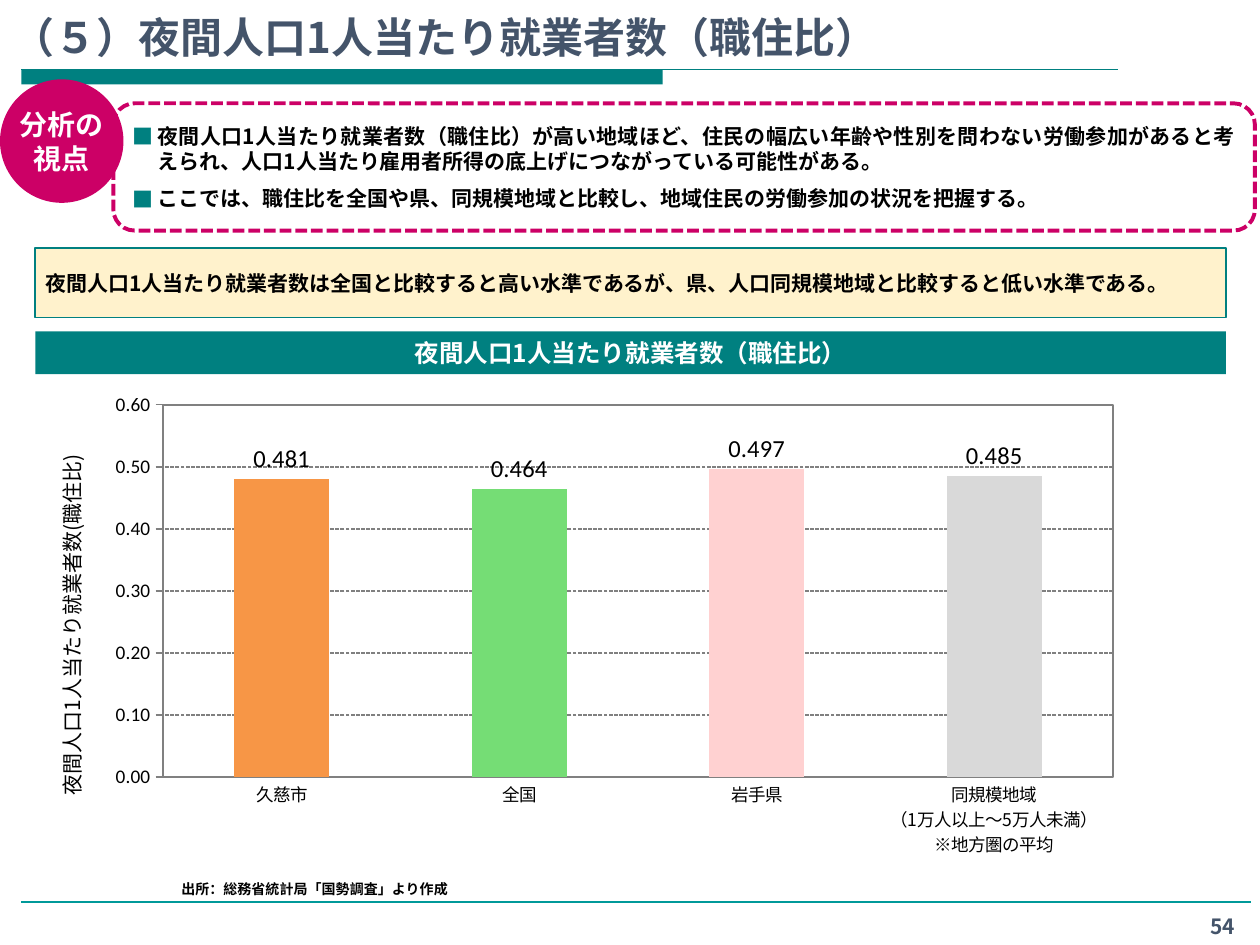
from lxml import etree
from pptx import Presentation
from pptx.chart.data import CategoryChartData
from pptx.dml.color import RGBColor
from pptx.enum.chart import XL_CHART_TYPE, XL_LABEL_POSITION, XL_TICK_MARK
from pptx.enum.dml import MSO_LINE
from pptx.enum.shapes import MSO_CONNECTOR, MSO_SHAPE
from pptx.enum.text import MSO_ANCHOR, MSO_AUTO_SIZE, PP_ALIGN
from pptx.oxml import parse_xml
from pptx.oxml.ns import nsdecls, qn
from pptx.util import Pt

PX = 9144  # 100 px to the inch
RECT, ROUND, OVAL = MSO_SHAPE.RECTANGLE, MSO_SHAPE.ROUNDED_RECTANGLE, MSO_SHAPE.OVAL
LEFT, MID, JUST = PP_ALIGN.LEFT, PP_ALIGN.CENTER, PP_ALIGN.JUSTIFY
TOP, CENTER, BOTTOM = MSO_ANCHOR.TOP, MSO_ANCHOR.MIDDLE, MSO_ANCHOR.BOTTOM
DASH = MSO_LINE.SQUARE_DOT
SANS, LATIN = "Noto Sans CJK JP", "Calibri"
TEAL, PINK, NAVY, GRAY = "008080", "CC0066", "44546A", "808080"
BLACK, WHITE = "000000", "FFFFFF"

HEAD = "夜間人口1人当たり就業者数（職住比）"
POINTS = [
    "夜間人口1人当たり就業者数（職住比）が高い地域ほど、住民の幅広い年齢や性別を問わない労働参加があると"
    "考えられ、人口1人当たり雇用者所得の底上げにつながっている可能性がある。",
    "ここでは、職住比を全国や県、同規模地域と比較し、地域住民の労働参加の状況を把握する。",
]
FINDING = "夜間人口1人当たり就業者数は全国と比較すると高い水準であるが、県、人口同規模地域と比較すると低い水準である。"
BARS = [
    ("久慈市", 0.481, "F79646"),
    ("全国", 0.464, "75DD75"),
    ("岩手県", 0.497, "FFD1D1"),
    ("同規模地域\n（1万人以上～5万人未満）\n※地方圏の平均", 0.485, "D9D9D9"),
]


def rgb(code):
    return RGBColor.from_string(code)


def place(item, box):
    item.left, item.top, item.width, item.height = (n * PX for n in box)


def style(font, size, color, bold=False, face=SANS):
    font.size, font.bold, font.name = Pt(size), bold, face
    font.color.rgb = rgb(color)


def stroke(line, color, width, dash=None):
    line.color.rgb = rgb(color)
    line.width = Pt(width)
    if dash:
        line.dash_style = dash


def write(item, text, size, color, align=LEFT, anchor=TOP, pad=(10, 5), wrap=True):
    frame = item.text_frame
    frame.text = text
    frame.word_wrap, frame.auto_size = wrap, MSO_AUTO_SIZE.NONE
    frame.vertical_anchor = anchor
    frame.margin_left = frame.margin_right = pad[0] * PX
    frame.margin_top = frame.margin_bottom = pad[1] * PX
    for para in frame.paragraphs:
        para.alignment = align
        for run in para.runs:
            style(run.font, size, color, True)
            etree.SubElement(run.font._element, qn("a:ea"), typeface=SANS)


def panel(slide, kind, box, fill=None, line=None):
    item = slide.shapes.add_shape(kind, *(n * PX for n in box))
    item.shadow.inherit = False
    if fill:
        item.fill.solid()
        item.fill.fore_color.rgb = rgb(fill)
    else:
        item.fill.background()
    if line:
        stroke(item.line, *line)
    else:
        item.line.fill.background()
    return item


def rule(slide, left, top, width, color):
    ends = (left, top, left + width, top)
    item = slide.shapes.add_connector(MSO_CONNECTOR.STRAIGHT, *(n * PX for n in ends))
    stroke(item.line, color, 0.75)
    etree.SubElement(item._element.spPr, qn("a:effectLst"))


def label(slide, box, *args, **opts):
    write(slide.shapes.add_textbox(*(n * PX for n in box)), *args, **opts)


def header(slide, left, top, width):
    place(slide.shapes.title, (left, top, width, 54))
    write(slide.shapes.title, "（５）" + HEAD, 24, NAVY, anchor=BOTTOM)
    panel(slide, RECT, (left + 17, top + 55, 509, 12), TEAL)
    rule(slide, left + 17, top + 55, 870, TEAL)


def view(slide, left, top, width):
    # Dashed frame with the list inside, round badge at its corner
    box = (left + 90, top + 19, width - 94, 101)
    panel(slide, ROUND, box, line=(PINK, 2.25, DASH))
    body = slide.placeholders[1]
    place(body, (box[0] + 5, box[1], box[2] - 10, box[3]))
    write(body, "\n".join(POINTS), 12, BLACK, JUST, CENTER)
    for para in body.text_frame.paragraphs:
        para.space_before, para.space_after = Pt(3), Pt(4)
        props = para._p.get_or_add_pPr()
        props.set("marL", str(20 * PX))
        props.set("indent", str(-20 * PX))
        color = etree.SubElement(props, qn("a:buClr"))
        etree.SubElement(color, qn("a:srgbClr"), val=TEAL)
        etree.SubElement(props, qn("a:buFont"), typeface=SANS)
        etree.SubElement(props, qn("a:buChar"), char="■")
    badge = panel(slide, OVAL, (left, top, 98, 98), PINK)
    write(badge, "分析の\v視点", 16, WHITE, MID, CENTER, (4, 5), False)


def result(slide, left, top, width):
    note = panel(slide, RECT, (left, top, width, 55), "FFF2CC", (TEAL, 1))
    write(note, FINDING, 12, BLACK, JUST, CENTER, (8, 5))
    band = panel(slide, RECT, (left, top + 66, width, 34), TEAL)
    write(band, HEAD, 14, WHITE, MID, CENTER)


def graph(slide, left, top, width, height):
    data = CategoryChartData()
    data.categories = [name for name, _, _ in BARS]
    data.add_series("職住比", [val for _, val, _ in BARS])
    box = (n * PX for n in (left, top, width, height))
    chart = slide.shapes.add_chart(XL_CHART_TYPE.COLUMN_CLUSTERED, *box, data).chart
    chart.has_legend = chart.has_title = False
    style(chart.font, 10, BLACK, face=LATIN)

    # Bars and their values
    plot = chart.plots[0]
    plot.gap_width, plot.overlap, plot.vary_by_categories = 150, -25, False
    for i, (_, _, color) in enumerate(BARS):
        fill = plot.series[0].points[i].format.fill
        fill.solid()
        fill.fore_color.rgb = rgb(color)
    plot.has_data_labels = True
    tags = plot.data_labels
    tags.show_value, tags.position = True, XL_LABEL_POSITION.OUTSIDE_END
    tags.number_format, tags.number_format_is_linked = "0.000", False
    style(tags.font, 14, BLACK, face=LATIN)

    # Axes
    cats, vals = chart.category_axis, chart.value_axis
    cats.major_tick_mark, vals.major_tick_mark = XL_TICK_MARK.NONE, XL_TICK_MARK.OUTSIDE
    style(cats.tick_labels.font, 10, BLACK)
    style(vals.tick_labels.font, 11, BLACK, face=LATIN)
    vals.minimum_scale, vals.maximum_scale, vals.major_unit = 0, 0.6, 0.1
    vals.tick_labels.number_format = "0.00"
    vals.tick_labels.number_format_is_linked = False
    for axis in (cats, vals):
        stroke(axis.format.line, GRAY, 0.75)
    stroke(vals.major_gridlines.format.line, GRAY, 0.75, DASH)
    title = vals.axis_title.text_frame
    title.text = "夜間人口1人当たり就業者数(職住比)"
    style(title.paragraphs[0].runs[0].font, 12, BLACK)

    # Fixed plot area with a thin border
    area = chart._chartSpace.chart.plotArea
    for old in area.findall(qn("c:layout")):
        area.remove(old)
    spots = "".join(f'<c:{key} val="{val}"/>' for key, val in (
        ("layoutTarget", "inner"), ("xMode", "edge"), ("yMode", "edge"),
        ("x", 0.126), ("y", 0.043), ("w", 0.853), ("h", 0.731)))
    area.insert(0, parse_xml(
        f'<c:layout {nsdecls("c")}><c:manualLayout>{spots}</c:manualLayout></c:layout>'))
    area.append(parse_xml(
        f'<c:spPr {nsdecls("c", "a")}><a:noFill/><a:ln w="9525"><a:solidFill>'
        f'<a:srgbClr val="{GRAY}"/></a:solidFill></a:ln></c:spPr>'))


def footer(slide, left, top, width):
    label(slide, (left + 117, top - 22, 345, 24), "出所：総務省統計局「国勢調査」より作成", 8, BLACK)
    rule(slide, left, top, width, "009999")
    label(slide, (left + 924, top + 4, 59, 28), "54", 12, NAVY, MID)


def main():
    deck = Presentation()
    deck.slide_width, deck.slide_height = 1000 * PX, 750 * PX
    slide = deck.slides.add_slide(deck.slide_layouts[1])
    header(slide, 0, 0, 869)
    graph(slide, 18, 304, 884, 404)
    result(slide, 28, 197, 945)
    view(slide, 0, 63, 1000)
    footer(slide, 17, 716, 976)
    deck.save("out.pptx")


if __name__ == "__main__":
    main()
